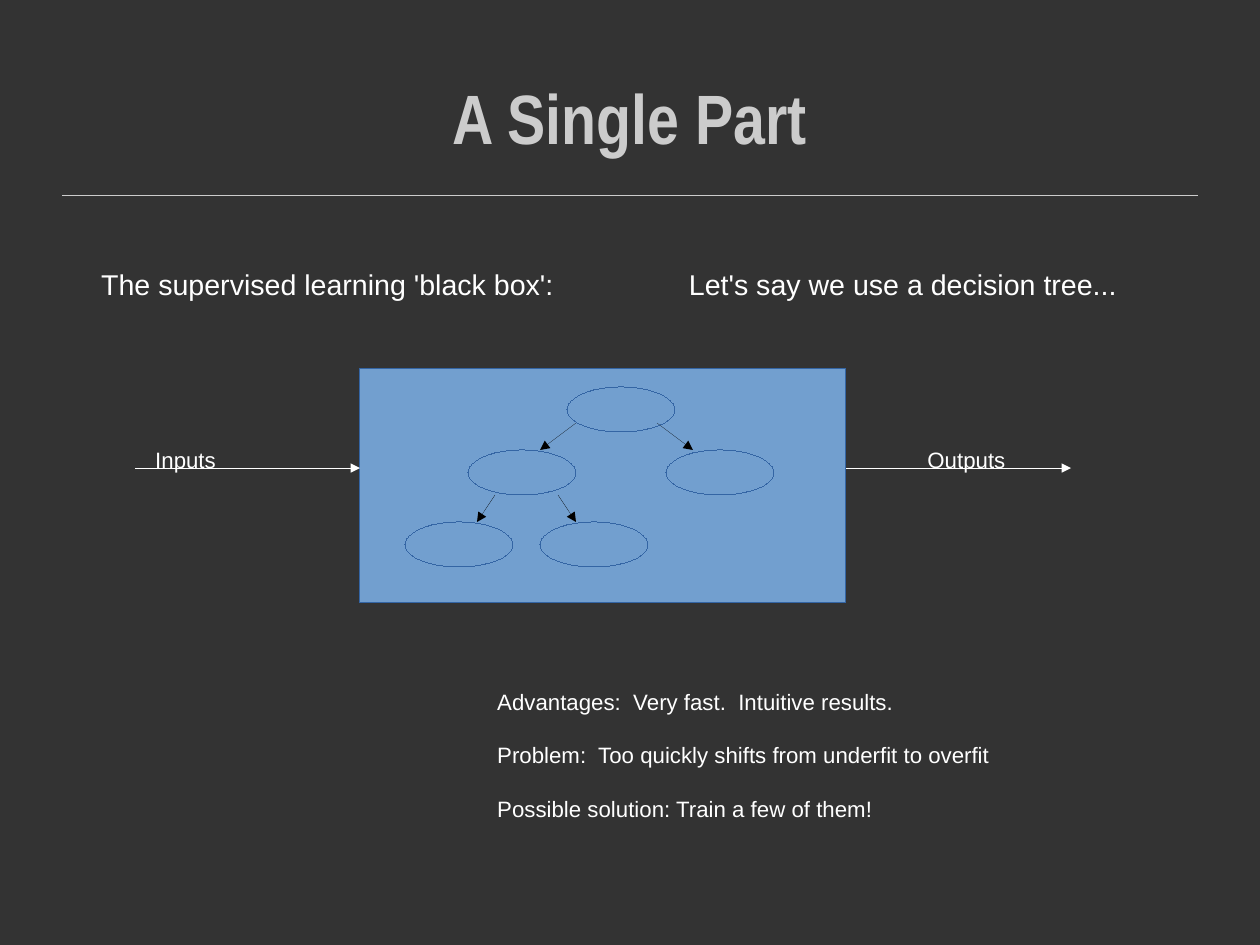
from lxml.etree import SubElement
from pptx import Presentation
from pptx.dml.color import RGBColor
from pptx.enum.shapes import MSO_CONNECTOR, MSO_SHAPE
from pptx.enum.text import MSO_ANCHOR, MSO_AUTO_SIZE, PP_ALIGN
from pptx.oxml.ns import qn
from pptx.util import Mm, Pt

color = RGBColor.from_string
WHITE, GREY, BLACK = "FFFFFF", "CCCCCC", "000000"

# Every length is counted in cells of a 2 mm grid, 140 columns by 105 rows.
CELL = Mm(2)
COLUMNS, ROWS = 140, 105
MARGIN = 7
# A width of exactly zero is not written to the file, so the theme's would apply.
HAIRLINE = Pt(0.01)

deck = Presentation()
deck.slide_width, deck.slide_height = COLUMNS * CELL, ROWS * CELL
page = deck.slides.add_slide(deck.slide_layouts[6])
page.background.fill.solid()
page.background.fill.fore_color.rgb = color("333333")


def cells(*counts):
    return [round(count * CELL) for count in counts]


def add_line(start, end, line_color, arrow=True):
    line = page.shapes.add_connector(MSO_CONNECTOR.STRAIGHT, *cells(*start, *end))
    line.line.color.rgb = color(line_color)
    line.line.width = HAIRLINE
    if arrow:
        SubElement(line.line._get_or_add_ln(), qn("a:tailEnd"), type="triangle")
    SubElement(line._element.spPr, qn("a:effectLst"))


# Title and the rule below it
add_line((MARGIN, 21.7), (COLUMNS - MARGIN, 21.7), GREY, arrow=False)
title = page.shapes.add_textbox(*cells(MARGIN, 4.2, COLUMNS - 2 * MARGIN, 17.5))
frame = title.text_frame
frame.word_wrap = True
frame.vertical_anchor = MSO_ANCHOR.MIDDLE
frame.margin_left = frame.margin_top = frame.margin_right = frame.margin_bottom = 0
para = frame.paragraphs[0]
para.alignment = PP_ALIGN.CENTER
span = para.add_run()
span.text = "A Single Part"
span.font.name, span.font.size, span.font.bold = "Arial Narrow", Pt(44), True
span.font.color.rgb = color(GREY)

# Black box, then the nodes of the decision tree inside it
BOX = (40, 41, 54, 26)
NODE_SIZE = (12, 5)
NODES = [(63, 43), (52, 50), (74, 50), (45, 58), (60, 58)]
outlines = [(MSO_SHAPE.RECTANGLE, BOX)]
outlines += [(MSO_SHAPE.OVAL, node + NODE_SIZE) for node in NODES]
for kind, place in outlines:
    shape = page.shapes.add_shape(kind, *cells(*place))
    shape.shadow.inherit = False
    shape.fill.solid()
    shape.fill.fore_color.rgb = color("729FCF")
    shape.line.color.rgb = color("3465A4")
    shape.line.width = HAIRLINE

# Arrows into and out of the box, then the branches of the tree
FLOW_ROW, FLOW_LENGTH = 52, 25
box_left, box_right = BOX[0], BOX[0] + BOX[2]
for start in (box_left - FLOW_LENGTH, box_right):
    add_line((start, FLOW_ROW), (start + FLOW_LENGTH, FLOW_ROW), WHITE)

BRANCHES = [
    ((64, 47), (60, 50)),
    ((73, 47), (77, 50)),
    ((55, 55), (53, 58)),
    ((62, 55), (64, 58)),
]
for start, end in BRANCHES:
    add_line(start, end, BLACK)

# Headings, flow labels and notes: place, text size, paragraphs
TEXTS = [
    ((10, 29, 52.8, 4.8), 18, ["The supervised learning 'black box':"]),
    ((75.3, 29, 50.4, 4.8), 18, ["Let's say we use a decision tree..."]),
    ((16, 49, 9.3, 4.1), 14, ["Inputs"]),
    ((101.8, 49, 11.2, 4.1), 14, ["Outputs"]),
    ((54, 75.8, 57.4, 15.1), 14, [
        "Advantages:  Very fast.  Intuitive results.",
        "Problem:  Too quickly shifts from underfit to overfit",
        "Possible solution: Train a few of them!",
    ]),
]
for place, size, lines in TEXTS:
    frame = page.shapes.add_textbox(*cells(*place)).text_frame
    frame.word_wrap = False
    frame.auto_size = MSO_AUTO_SIZE.SHAPE_TO_FIT_TEXT
    for index, words in enumerate(lines):
        para = frame.add_paragraph() if index else frame.paragraphs[0]
        para.space_before = Pt(17 if index else 0)
        span = para.add_run()
        span.text = words
        span.font.name, span.font.size = "Arial", Pt(size)
        span.font.color.rgb = color(WHITE)

deck.save("out.pptx")
